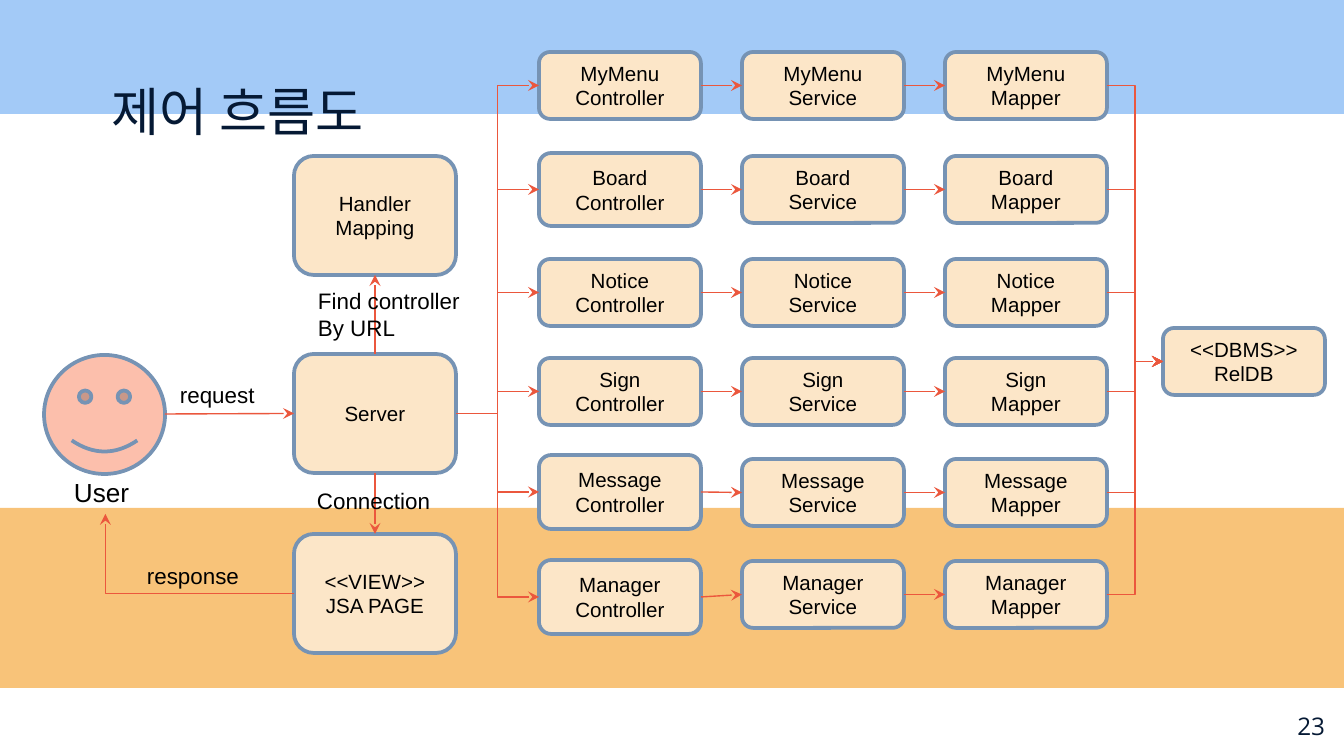
from lxml import etree
from pptx import Presentation
from pptx.dml.color import RGBColor
from pptx.enum.shapes import MSO_CONNECTOR, MSO_SHAPE
from pptx.enum.text import MSO_ANCHOR, PP_ALIGN
from pptx.oxml.ns import qn
from pptx.util import Emu, Pt

STRAIGHT, ELBOW = MSO_CONNECTOR.STRAIGHT, MSO_CONNECTOR.ELBOW
RECT, ROUNDED, SMILEY = MSO_SHAPE.RECTANGLE, MSO_SHAPE.ROUNDED_RECTANGLE, MSO_SHAPE.SMILEY_FACE
LEFT, CENTER, RIGHT = PP_ALIGN.LEFT, PP_ALIGN.CENTER, PP_ALIGN.RIGHT
ANCHOR_TOP, ANCHOR_MIDDLE = MSO_ANCHOR.TOP, MSO_ANCHOR.MIDDLE

# Connection sites of a rectangle
SITE_TOP, SITE_LEFT, SITE_BOTTOM, SITE_RIGHT = range(4)

PX_PER_INCH = 134.4
COLORS = {
    "sky": "A3CAF7",
    "sand": "F8C379",
    "node": "FCE6C8",
    "face": "FCBFAC",
    "outline": "7693B4",
    "arrow": "EB573D",
    "navy": "051934",
    "black": "000000",
}

NODE_W, NODE_H, LAYER_H = 162, 119, 67
SERVER_X, CONTROLLER_X, LAYER_PITCH = 294, 539, 203

# Name, controller top, controller height, top of service and mapper
ROWS = [
    ("MyMenu", 52, 67, 52),
    ("Board", 153, 73, 156),
    ("Notice", 259, 67, 259),
    ("Sign", 358, 67, 358),
    ("Message", 455, 74, 459),
    ("Manager", 560, 74, 561),
]


def px(n):
    return Emu(round(n * 914400 / PX_PER_INCH))


def rgb(name):
    return RGBColor.from_string(COLORS[name])


def write(sp, text, size=11, font="Arial", color="black", align=LEFT,
          anchor=ANCHOR_TOP, inset_y=7):
    tf = sp.text_frame
    tf.word_wrap = True
    tf.vertical_anchor = anchor
    tf.margin_left = tf.margin_right = px(13)
    tf.margin_top = tf.margin_bottom = px(inset_y)
    for i, line in enumerate(text.split("\n")):
        p = tf.paragraphs[0] if i == 0 else tf.add_paragraph()
        p.alignment = align
        r = p.add_run()
        r.text = line
        r.font.size = Pt(size)
        r.font.name = font
        r.font.color.rgb = rgb(color)


def add_shape(s, kind, x, y, w, h, fill, outline=None):
    sp = s.shapes.add_shape(kind, px(x), px(y), px(w), px(h))
    sp.shadow.inherit = False
    sp.fill.solid()
    sp.fill.fore_color.rgb = rgb(fill)
    if outline:
        sp.line.color.rgb = rgb(outline)
        sp.line.width = Pt(2)
    else:
        sp.line.fill.background()
    return sp


def add_node(s, text, x, y, h=LAYER_H):
    sp = add_shape(s, ROUNDED, x, y, NODE_W, h, "node", "outline")
    write(sp, text, align=CENTER, anchor=ANCHOR_MIDDLE)
    return sp


def add_label(s, text, x, y, w, h, **fmt):
    sp = s.shapes.add_textbox(px(x), px(y), px(w), px(h))
    write(sp, text, **fmt)
    return sp


def add_arrow(s, kind, begin, end):
    """Join two (shape, site) pairs; begin may also be an (x, y) point."""
    begin_is_point = isinstance(begin[0], int)
    x, y = begin if begin_is_point else (0, 0)
    c = s.shapes.add_connector(kind, px(x), px(y), px(x), px(y))
    if not begin_is_point:
        c.begin_connect(*begin)
    c.end_connect(*end)
    c.line.color.rgb = rgb("arrow")
    c.line.width = Pt(0.75)
    etree.SubElement(c.line._get_or_add_ln(), qn("a:tailEnd"), type="stealth")
    etree.SubElement(c._element.spPr, qn("a:effectLst"))
    return c


def add_background(s):
    add_shape(s, RECT, 0, 508, 1344, 180, "sand")
    add_shape(s, RECT, 0, 0, 1344, 114, "sky")
    add_label(s, "제어 흐름도", 99, 66, 1039, 85, size=28, color="navy", inset_y=13)
    add_label(s, "23", 1258, 698, 80, 58, size=13, font="Open Sans",
              color="navy", align=RIGHT, inset_y=13)


def add_user_side(s):
    """User, server, handler mapping and view; returns the server."""
    add_shape(s, SMILEY, 44, 355, 121, 119, "face", "outline")
    user = add_label(s, "User", 61, 469, 89, 45, size=14)
    handler = add_node(s, "Handler\nMapping", SERVER_X, 156, NODE_H)
    server = add_node(s, "Server", SERVER_X, 354, NODE_H)
    view = add_node(s, "<<VIEW>>\nJSA PAGE", SERVER_X, 534, NODE_H)

    add_arrow(s, STRAIGHT, (165, 414), (server, SITE_LEFT))
    add_arrow(s, STRAIGHT, (server, SITE_TOP), (handler, SITE_BOTTOM))
    add_arrow(s, STRAIGHT, (server, SITE_BOTTOM), (view, SITE_TOP))
    response = add_arrow(s, ELBOW, (view, SITE_LEFT), (user, SITE_BOTTOM))
    # A single corner instead of the usual two
    response._element.spPr.find(qn("a:prstGeom")).set("prst", "bentConnector2")

    for text, x, y, w, h in [
        ("request", 167, 374, 191, 40),
        ("response", 134, 555, 191, 40),
        ("Find controller\nBy URL", 305, 280, 191, 67),
        ("Connection", 304, 480, 145, 40),
    ]:
        add_label(s, text, x, y, w, h, size=12)
    return server


def add_layers(s, server):
    """One controller, service and mapper per row, from server to database."""
    database = add_node(s, "<<DBMS>>\nRelDB", 1163, 328)
    for name, controller_y, controller_h, y in ROWS:
        controller = add_node(s, f"{name}\nController", CONTROLLER_X,
                              controller_y, controller_h)
        service = add_node(s, f"{name}\nService", CONTROLLER_X + LAYER_PITCH, y)
        mapper = add_node(s, f"{name}\nMapper", CONTROLLER_X + 2 * LAYER_PITCH, y)
        for kind, begin, end in [
            (ELBOW, server, controller),
            (STRAIGHT, controller, service),
            (STRAIGHT, service, mapper),
            (ELBOW, mapper, database),
        ]:
            add_arrow(s, kind, (begin, SITE_RIGHT), (end, SITE_LEFT))


def main():
    prs = Presentation()
    prs.slide_width, prs.slide_height = px(1344), px(756)
    s = prs.slides.add_slide(prs.slide_layouts[6])
    add_background(s)
    server = add_user_side(s)
    add_layers(s, server)
    prs.save("out.pptx")


if __name__ == "__main__":
    main()
